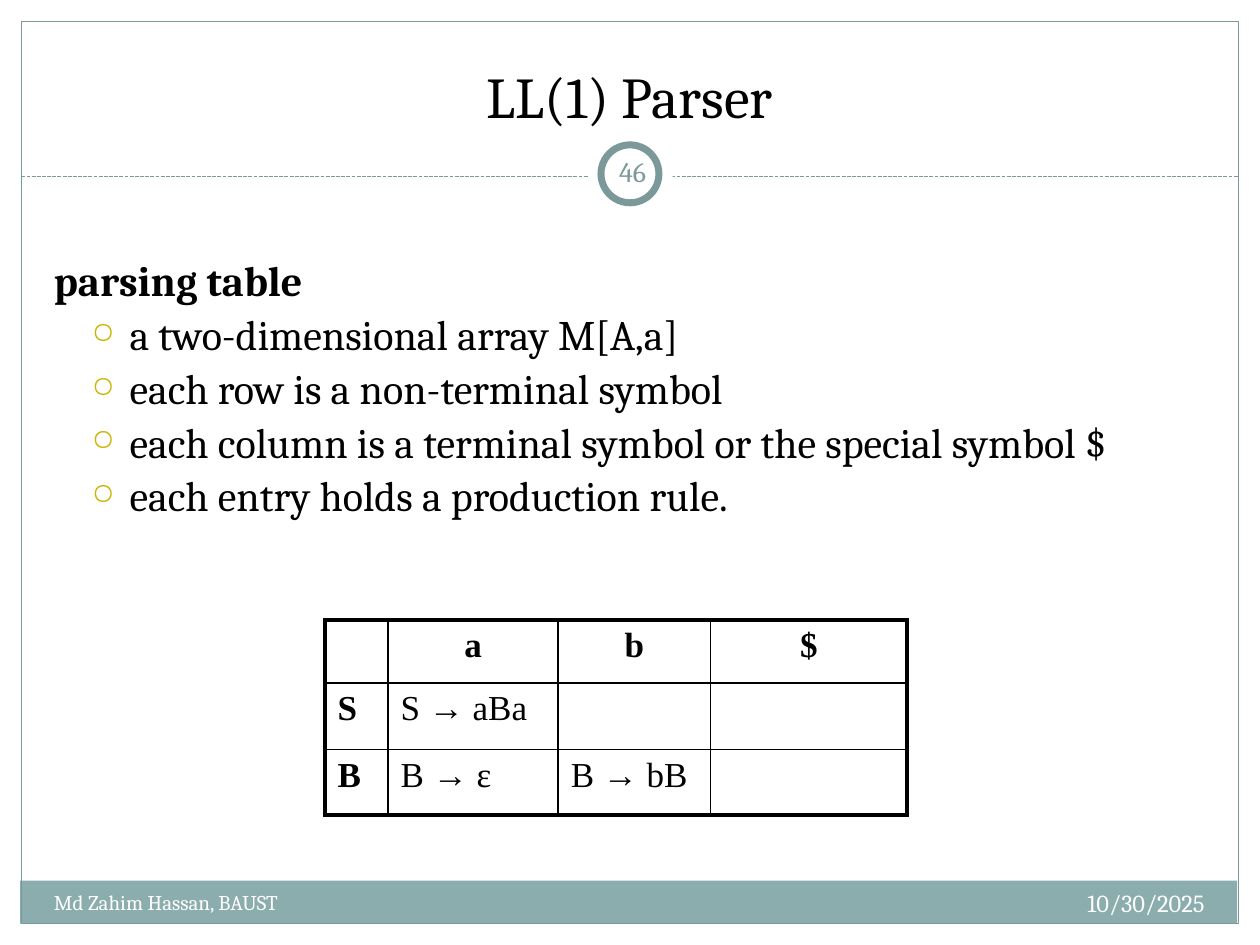
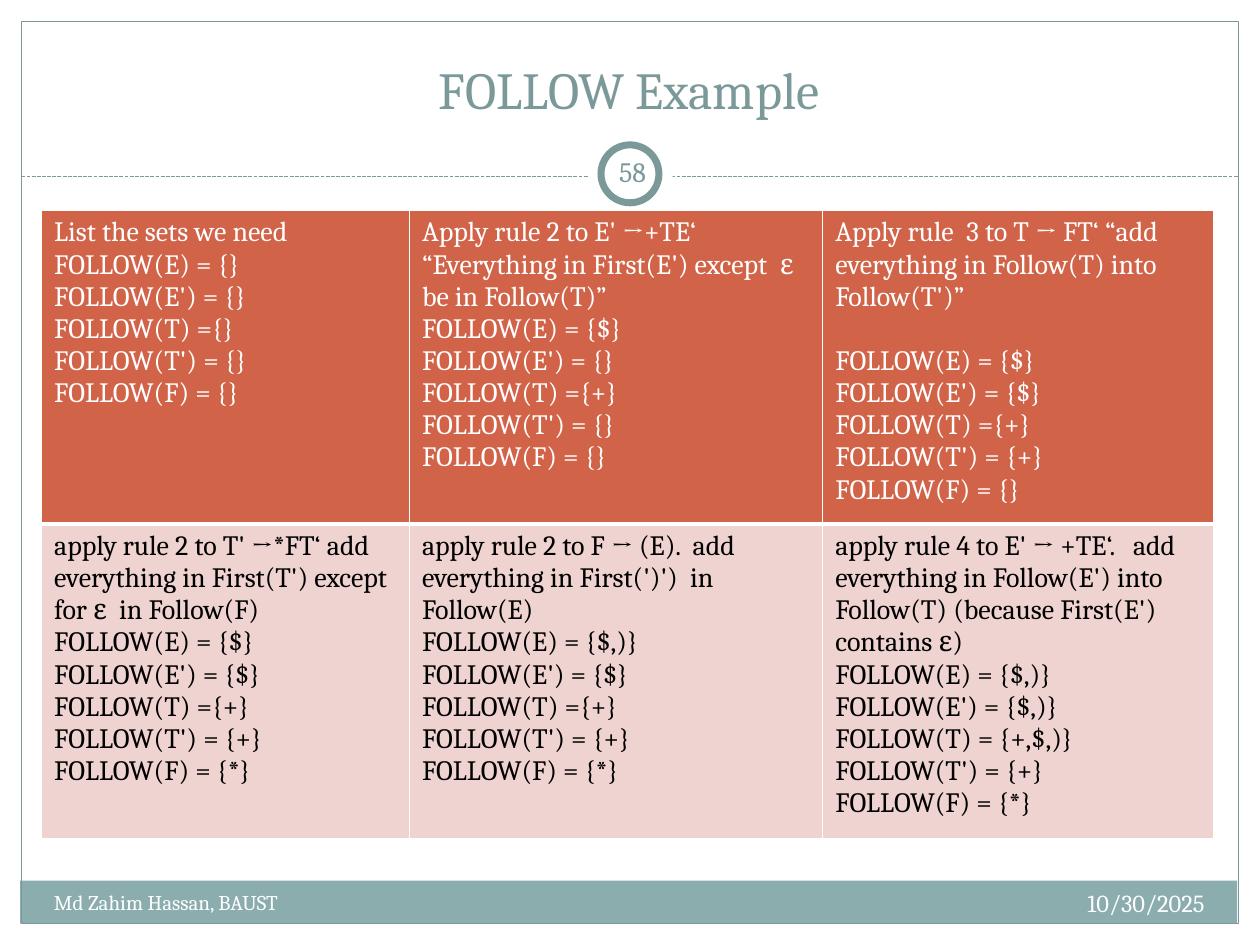
from lxml import etree
from pptx import Presentation
from pptx.dml.color import RGBColor
from pptx.enum.dml import MSO_LINE
from pptx.enum.shapes import MSO_CONNECTOR, MSO_SHAPE
from pptx.enum.text import MSO_ANCHOR, PP_ALIGN
from pptx.oxml.ns import qn
from pptx.util import Inches, Pt

RECT, OVAL = MSO_SHAPE.RECTANGLE, MSO_SHAPE.OVAL
LINE, DASH = MSO_CONNECTOR.STRAIGHT, MSO_LINE.SQUARE_DOT
LEFT, MID, RIGHT = PP_ALIGN.LEFT, PP_ALIGN.CENTER, PP_ALIGN.RIGHT
TOP, CENTRE, BASE = MSO_ANCHOR.TOP, MSO_ANCHOR.MIDDLE, MSO_ANCHOR.BOTTOM

SERIF, TIMES = "Cambria", "Times New Roman"
BLACK, WHITE, TEAL, BAND = "000000", "FFFFFF", "7C999A", "8CADAE"
RUST, PINK, GOLD = "D16349", "EED3D0", "CCB400"

POINTS = [
    "a two-dimensional array M[A,a]",
    "each row is a non-terminal symbol",
    "each column is a terminal symbol or the special symbol $",
    "each entry holds a production rule.",
]
RULES = [
    ["", "a", "b", "$"],
    ["S", "S → aBa", "", ""],
    ["B", "B → ε", "B → bB", ""],
]
HEADS = ["FOLLOW(E) = ", "FOLLOW(E') = ", "FOLLOW(T) =", "FOLLOW(T') = ",
         "FOLLOW(F) = "]
STEPS = [
    [("List the sets we need", ["{}", "{}", "{}", "{}", "{}"]),
     ("Apply rule 2 to E' →+TE‘ “Everything in First(E') except  ε  "
      "be in Follow(T)”", ["{$}", "{}", "{+}", "{}", "{}"]),
     ("Apply rule  3 to T → FT‘ “add everything in Follow(T) into "
      "Follow(T')”", ["{$}", "{$}", "{+}", "{+}", "{}"])],
    [("apply rule 2 to T' →*FT‘ add everything in First(T') except "
      "for ε  in Follow(F)", ["{$}", "{$}", "{+}", "{+}", "{*}"]),
     ("apply rule 2 to F → (E).  add everything in First(')')  in "
      "Follow(E)", ["{$,)}", "{$}", "{+}", "{+}", "{*}"]),
     ("apply rule 4 to E' → +TE‘.   add everything in Follow(E') into "
      "Follow(T) (because First(E') contains ε)",
      ["{$,)}", "{$,)}", " {+,$,)}", "{+}", "{*}"])],
]


def tint(code):
    return RGBColor.from_string(code)


def write(para, text, size, color, font=SERIF, bold=False, **form):
    """Add a run to a paragraph; form holds paragraph attributes."""
    run = para.add_run()
    run.text = text
    for name, value in {"size": Pt(size), "name": font, "bold": bold}.items():
        setattr(run.font, name, value)
    run.font.color.rgb = tint(color)
    for name, value in form.items():
        setattr(para, name, value)


def add_box(slide, area, anchor=TOP, inset=None):
    frame = slide.shapes.add_textbox(*map(Inches, area)).text_frame
    frame.word_wrap = True
    frame.vertical_anchor = anchor
    if inset is not None:
        for side in ("left", "top", "right", "bottom"):
            setattr(frame, "margin_" + side, Inches(inset))
    return frame


def add_label(slide, area, text, size, color, align=LEFT, **box):
    frame = add_box(slide, area, **box)
    write(frame.paragraphs[0], text, size, color, alignment=align)


def add_form(slide, kind, area, fill=None, line=None, width=0.75):
    shape = slide.shapes.add_shape(kind, *map(Inches, area))
    shape.shadow.inherit = False
    if fill:
        shape.fill.solid()
        shape.fill.fore_color.rgb = tint(fill)
    else:
        shape.fill.background()
    if line:
        shape.line.color.rgb = tint(line)
        shape.line.width = Pt(width)
    else:
        shape.line.fill.background()


def add_rule(slide, left, right, y):
    rule = slide.shapes.add_connector(LINE, *map(Inches, (left, y, right, y)))
    rule.line.color.rgb = tint(TEAL)
    rule.line.width = Pt(0.75)
    rule.line.dash_style = DASH
    etree.SubElement(rule._element.spPr, qn("a:effectLst"))


def add_page(deck, number, title, area, size, color):
    """Add a slide with the shared frame, band, badge, footer and a title."""
    slide = deck.slides.add_slide(deck.slide_layouts[6])
    add_form(slide, RECT, (0.16, 6.99, 9.66, 0.34), BAND)
    add_form(slide, RECT, (0.17, 0.17, 9.66, 7.16), line=TEAL)
    add_rule(slide, 0.17, 9.83, 1.4)
    add_form(slide, OVAL, (4.67, 1.05, 0.67, 0.67), WHITE)
    add_form(slide, OVAL, (4.77, 1.15, 0.46, 0.46), WHITE, TEAL, 4)
    add_label(slide, area, title, size, color, MID, anchor=BASE)
    add_label(slide, (6.33, 7, 3.33, 0.4), "10/30/2025", 14, WHITE, RIGHT)
    add_label(slide, (0.33, 7.01, 3.92, 0.4), "Md Zahim Hassan, BAUST", 12,
              WHITE)
    add_label(slide, (4.77, 1.12, 0.5, 0.48), str(number), 16, TEAL, MID,
              anchor=CENTRE, inset=0.05)
    return slide


def add_bullet(para):
    props = para._p.get_or_add_pPr()
    props.set("marL", str(Inches(0.6)))
    props.set("indent", str(Inches(-0.3)))
    color = etree.SubElement(props, qn("a:buClr"))
    etree.SubElement(color, qn("a:srgbClr"), val=GOLD)
    etree.SubElement(props, qn("a:buSzPct"), val="70000")
    etree.SubElement(props, qn("a:buChar"), char="○")


def add_list(slide, area, head, points):
    frame = add_box(slide, area)
    form = {"line_spacing": 0.9, "space_before": Pt(4.8)}
    write(frame.paragraphs[0], head, 24, BLACK, bold=True, **form)
    for point in points:
        para = frame.add_paragraph()
        write(para, point, 24, BLACK, **form)
        add_bullet(para)


def add_grid(slide, left, top, cols, rows):
    """Add a plain table with the given column widths and row heights."""
    size = (left, top, sum(cols), sum(rows))
    table = slide.shapes.add_table(len(rows), len(cols),
                                   *map(Inches, size)).table
    table.first_row = table.horz_banding = False
    for col, width in zip(table.columns, cols):
        col.width = Inches(width)
    for row, height in zip(table.rows, rows):
        row.height = Inches(height)
    return table


def set_edges(cell, color, widths):
    """Draw the left, right, top and bottom border of a cell."""
    props = cell._tc.get_or_add_tcPr()
    for side, width in zip("LRTB", widths):
        line = etree.SubElement(props, qn("a:ln" + side), w=str(Pt(width)))
        fill = etree.SubElement(line, qn("a:solidFill"))
        etree.SubElement(fill, qn("a:srgbClr"), val=color)


def add_rules(slide):
    table = add_grid(slide, 2.58, 4.92, (0.5, 1.35, 1.21, 1.56),
                     (0.5, 0.53, 0.52))
    for r, row in enumerate(RULES):
        for c, text in enumerate(row):
            cell = table.cell(r, c)
            outer = (c == 0, c == len(row) - 1, r == 0, r == len(RULES) - 1)
            set_edges(cell, BLACK, [2.25 if out else 1 for out in outer])
            cell.fill.background()
            if text:
                write(cell.text_frame.paragraphs[0], text, 20, BLACK, TIMES,
                      bold=r == 0 or c == 0, space_before=Pt(4),
                      alignment=LEFT if r else MID)


def add_steps(slide):
    table = add_grid(slide, 0.33, 1.67, (2.92, 3.28, 3.1), (2.39, 2.39))
    looks = [(RUST, WHITE, (1, 1, 1, 3)), (PINK, BLACK, (1, 1, 3, 1))]
    for r, (fill, ink, widths) in enumerate(looks):
        for c, (intro, sets) in enumerate(STEPS[r]):
            cell = table.cell(r, c)
            set_edges(cell, WHITE, widths)
            cell.fill.solid()
            cell.fill.fore_color.rgb = tint(fill)
            frame = cell.text_frame
            write(frame.paragraphs[0], intro, 16, ink)
            for head, items in zip(HEADS, sets):
                write(frame.add_paragraph(), head + items, 16, ink)
    table.cell(0, 2).text_frame.paragraphs[1].space_before = Pt(18.4)


def main():
    deck = Presentation()
    deck.slide_width, deck.slide_height = Inches(10), Inches(7.5)

    slide = add_page(deck, 46, "LL(1) Parser", (0.33, 0.25, 9.33, 0.83),
                     33, BLACK)
    add_list(slide, (0.33, 2.02, 9.3, 2.5), "parsing table", POINTS)
    add_rules(slide)

    slide = add_page(deck, 58, "FOLLOW Example", (0.33, 0.42, 9.33, 0.58),
                     29.7, TEAL)
    add_steps(slide)
    deck.save("out.pptx")


if __name__ == "__main__":
    main()
